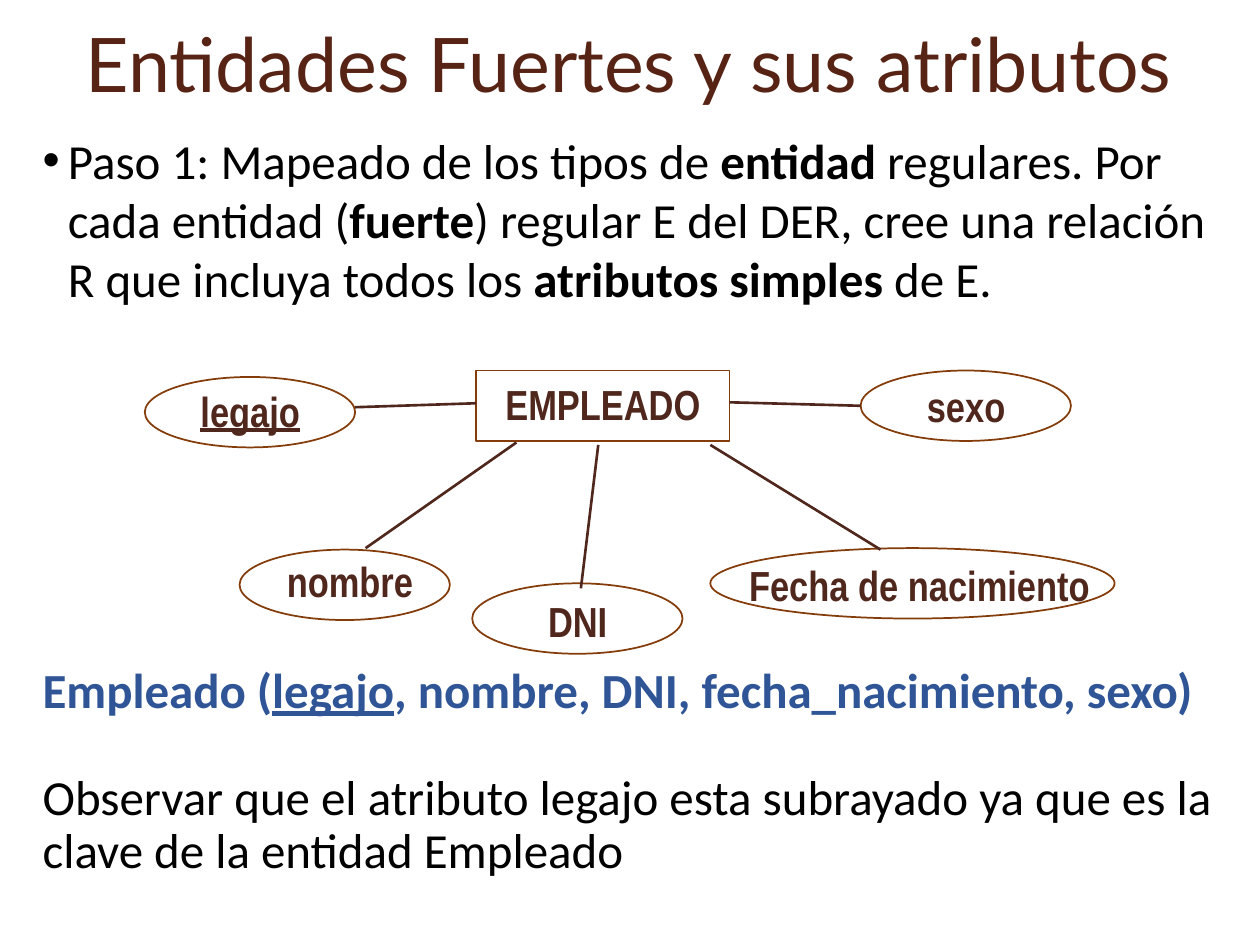
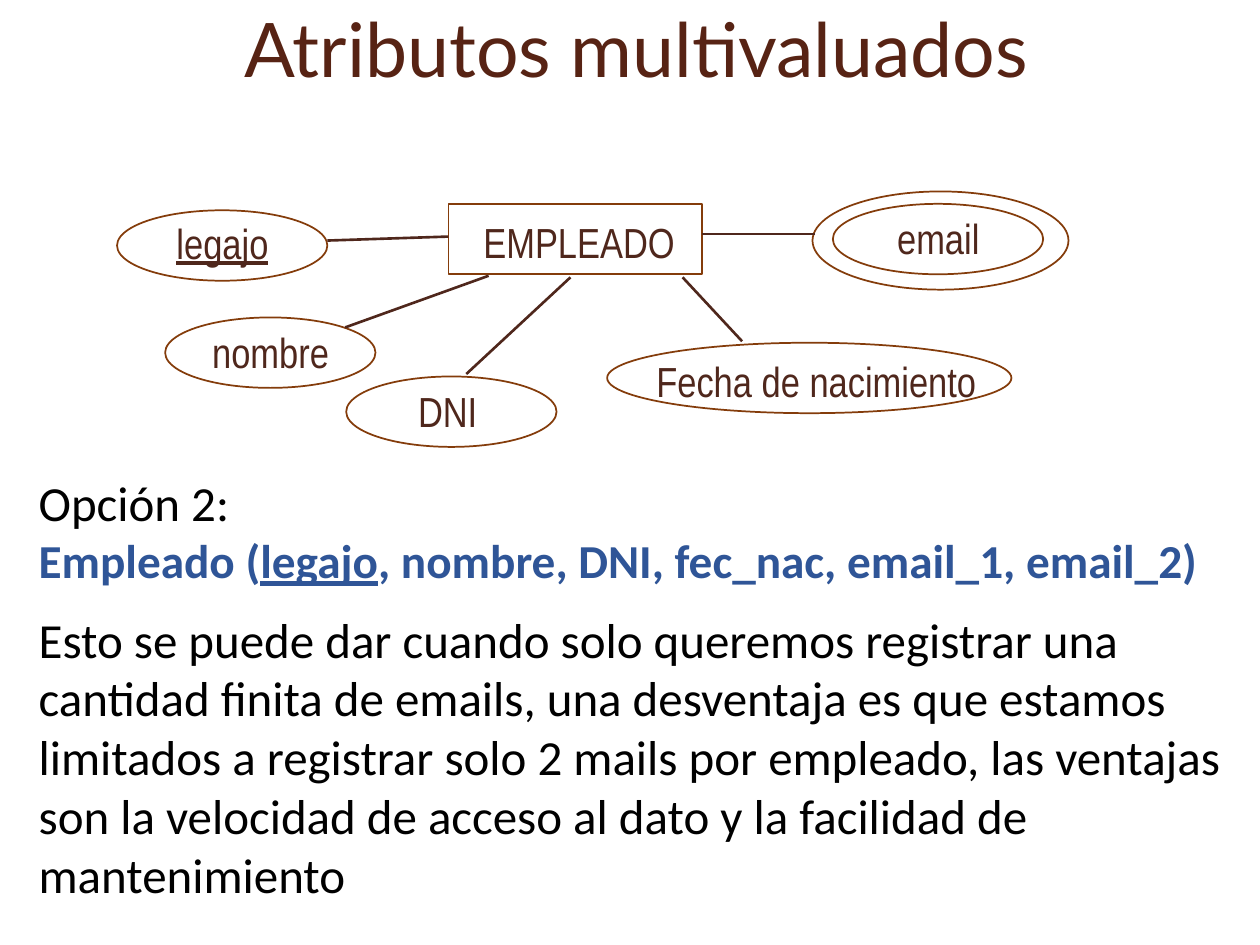
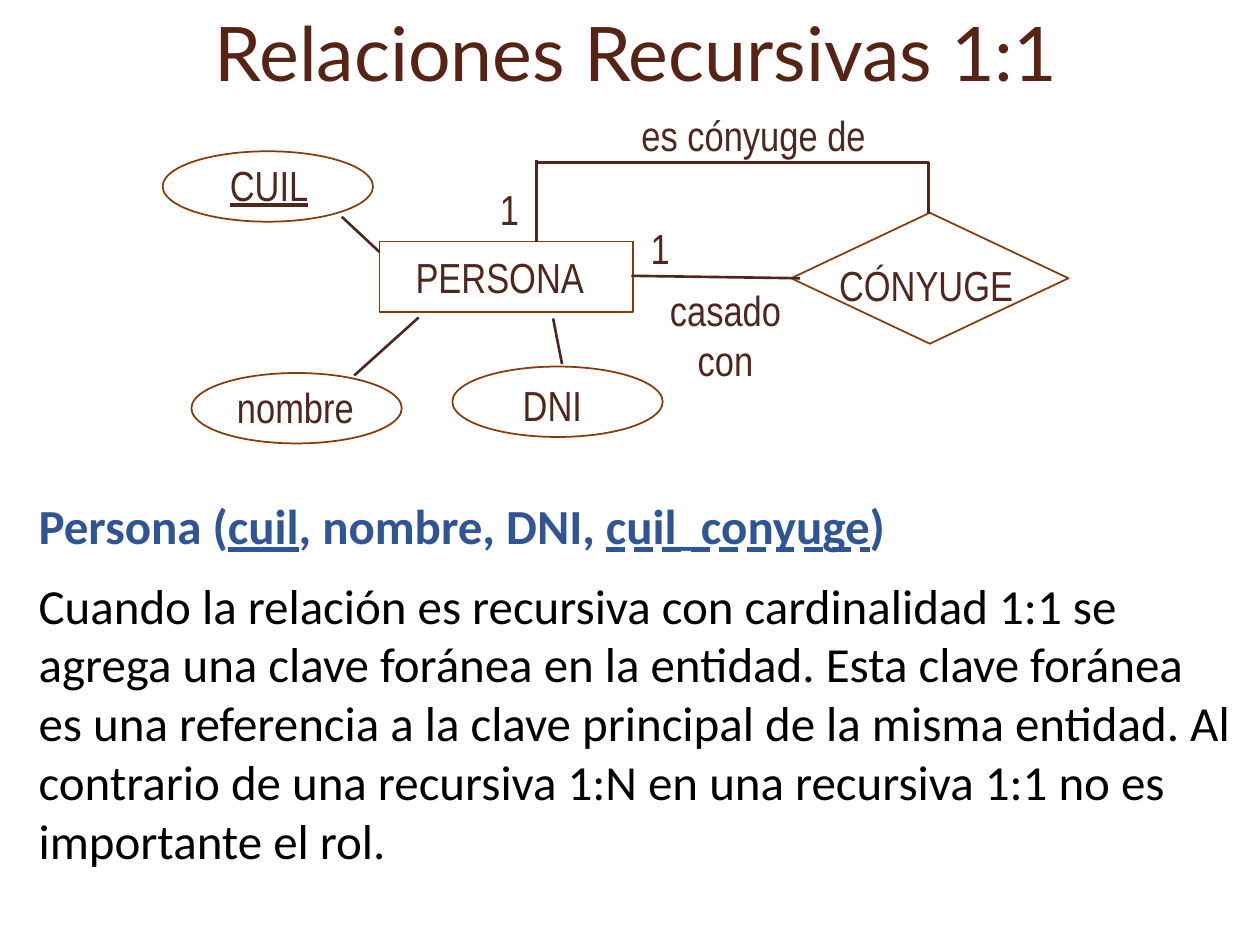
from pptx import Presentation
from pptx import util as u
from pptx.dml.color import RGBColor
from pptx.enum import shapes, text
from pptx.oxml import xmlchemy
from lxml import etree
from pptx.oxml import ns

COLORS = {"title": "572314", "body": "000000", "schema": "2F5597",
          "diagram": "4F271C", "outline": "843C0B"}
FONTS = {"title": "Lato", "body": "Calibri", "diagram": "Arial Narrow"}

# Sizes in centimetres
NODE_HEIGHT = 1.42
ATTRIBUTE_WIDTH, WIDE_WIDTH, ENTITY_WIDTH = 4.24, 8.15, 5.11
LABEL_HEIGHT = 1.3
ATTRIBUTE_LABEL, WIDE_LABEL = 3.53, 7.87

ELLIPSE = shapes.MSO_SHAPE.OVAL
RECTANGLE = shapes.MSO_SHAPE.RECTANGLE
DIAMOND = shapes.MSO_SHAPE.DIAMOND
DASHED = text.MSO_UNDERLINE.DASH_LINE


def rgb(name):
    return RGBColor.from_string(COLORS[name])


def add_run(paragraph, words, size, color="body", font="body", bold=False, underline=None):
    run = paragraph.add_run()
    run.text = words
    run.font.size = u.Pt(size)
    run.font.name = FONTS[font]
    run.font.bold = bold
    run.font.underline = underline
    run.font.color.rgb = rgb(color)


def add_frame(container, box, wrap=True):
    """Add a text box at (left, top, width, height) and return its text frame."""
    frame = container.add_textbox(*map(u.Cm, box)).text_frame
    frame.word_wrap = wrap
    return frame


def add_title(slide, box, words):
    frame = add_frame(slide.shapes, box)
    frame.vertical_anchor = text.MSO_ANCHOR.MIDDLE
    paragraph = frame.paragraphs[0]
    paragraph.alignment = text.PP_ALIGN.CENTER
    add_run(paragraph, words, 43, "title", "title")


def add_plain(paragraph, words):
    add_run(paragraph, words, 28)


def add_schema(paragraph, parts, size=28):
    """Write a relation schema from (words, underline) parts."""
    for words, underline in parts:
        add_run(paragraph, words, size, "schema", bold=True, underline=underline)


def add_step(slide, box, parts):
    """Write one bulleted paragraph from (words, bold) parts."""
    paragraph = add_frame(slide.shapes, box).paragraphs[0]
    properties = paragraph._p.get_or_add_pPr()
    indent = u.Cm(0.51)
    properties.set("marL", str(indent))
    properties.set("indent", str(-indent))
    etree.SubElement(properties, ns.qn("a:buFont"), typeface="Arial")
    etree.SubElement(properties, ns.qn("a:buChar"), char="•")
    for words, bold in parts:
        add_run(paragraph, words, 28, bold=bold)


class Diagram:
    """Entity-relationship drawing whose parts are placed from its top left corner."""

    def __init__(self, slide, left, top, bold=False):
        self.shapes = slide.shapes.add_group_shape().shapes
        self.left, self.top, self.bold = left, top, bold

    def outline(self, kind, x, y, width, height=NODE_HEIGHT):
        shape = self.shapes.add_shape(kind, *map(u.Cm, (self.left + x, self.top + y, width, height)))
        shape.shadow.inherit = False
        shape.fill.background()
        shape.line.color.rgb = rgb("outline")
        shape.line.width = u.Pt(1)

    def label(self, words, x, y, width, underline=None):
        box = self.left + x, self.top + y, width, LABEL_HEIGHT
        paragraph = add_frame(self.shapes, box, wrap=False).paragraphs[0]
        paragraph.alignment = text.PP_ALIGN.CENTER
        add_run(paragraph, words, 24, "diagram", "diagram", self.bold, underline)

    def attribute(self, words, x, y, shift, key=None, wide=False):
        self.outline(ELLIPSE, x, y, WIDE_WIDTH if wide else ATTRIBUTE_WIDTH)
        self.label(words, x + shift[0], y + shift[1], WIDE_LABEL if wide else ATTRIBUTE_LABEL, key)

    def entity(self, words, x, y, shift):
        self.outline(RECTANGLE, x, y, ENTITY_WIDTH)
        self.label(words, x + shift[0], y + shift[1], ENTITY_WIDTH)

    def links(self, *ends):
        for x1, y1, x2, y2 in ends:
            points = self.left + x1, self.top + y1, self.left + x2, self.top + y2
            connector = self.shapes.add_connector(shapes.MSO_CONNECTOR.STRAIGHT, *map(u.Cm, points))
            connector.line.color.rgb = rgb("diagram")
            connector.line.width = u.Pt(1.5)
            etree.SubElement(connector._element.spPr, ns.qn("a:effectLst"))


def draw_employee(slide, left, top):
    diagram = Diagram(slide, left, top, bold=True)
    diagram.entity("EMPLEADO", 6.68, 0, (0, 0.03))
    diagram.attribute("legajo", 0, 0.13, (0.36, 0.05), key=True)
    diagram.attribute("nombre", 1.91, 3.61, (0.46, 0))
    diagram.attribute("DNI", 6.6, 4.29, (0.36, 0.13))
    diagram.attribute("Fecha de nacimiento", 11.4, 3.58, (0.28, 0.1), wide=True)
    diagram.attribute("sexo", 14.43, 0, (0.36, 0.08))
    diagram.links((6.68, 0.66, 4.24, 0.74), (14.43, 0.71, 11.79, 0.64),
                  (11.4, 1.5, 14.83, 3.61), (7.49, 1.45, 4.45, 3.58),
                  (9.14, 1.5, 8.79, 4.39))


def draw_employee_emails(slide, left, top):
    diagram = Diagram(slide, left, top)
    diagram.entity("EMPLEADO", 6.68, 0.25, (0.08, 0.13))
    diagram.attribute("legajo", 0, 0.38, (0.36, 0.03), key=True)
    diagram.attribute("nombre", 0.97, 2.54, (0.36, 0.05))
    diagram.attribute("DNI", 4.62, 3.73, (0.28, 0.05))
    diagram.attribute("Fecha de nacimiento", 9.88, 3.05, (0.28, 0.13), wide=True)
    diagram.attribute("email", 14.43, 0.25, (0.36, 0.05))
    diagram.outline(ELLIPSE, 14.02, 0, 5.16, 1.98)
    diagram.links((6.68, 0.91, 4.24, 0.99), (14.07, 0.86, 11.79, 0.86),
                  (11.4, 1.73, 12.6, 3.02), (7.49, 1.7, 4.6, 2.74),
                  (9.14, 1.73, 7.04, 3.68))


def draw_spouses(slide, left, top):
    diagram = Diagram(slide, left, top)
    diagram.entity("PERSONA", 4.37, 2.79, (-0.13, 0.08))
    diagram.attribute("CUIL", 0, 0.97, (0.38, 0.05), key=True)
    diagram.attribute("nombre", 0.58, 5.44, (0.33, 0.05))
    diagram.attribute("DNI", 5.84, 5.31, (0.25, 0.13))
    diagram.outline(DIAMOND, 12.67, 2.21, 5.59, 2.64)
    diagram.label("CÓNYUGE", 13.36, 3.02, 4.06)
    diagram.label("es cónyuge de", 8.86, 0, 6.1)
    diagram.label("casado con", 9.4, 3.53, 3.89)
    for x, y in ((6.43, 1.5), (9.47, 2.29)):
        diagram.label("1", x, y, 1.12)
    diagram.links((4.37, 3, 3.61, 2.29), (12.85, 3.53, 9.45, 3.48),
                  (5.16, 4.32, 3.86, 5.49), (7.87, 4.34, 8.05, 5.26),
                  (7.54, 1.14, 7.54, 2.79), (15.44, 1.19, 7.54, 1.19),
                  (15.44, 1.19, 15.44, 2.21))


def build_strong_entities(slide):
    add_title(slide, (0.61, 0, 24.13, 2.51), "Entidades Fuertes y sus atributos")
    add_step(slide, (0.61, 2.51, 24.13, 4.32), [
        ("Paso 1: Mapeado de los tipos de ", False), ("entidad ", True),
        ("regulares. Por cada entidad (", False), ("fuerte", True),
        (") regular E del DER, cree una relación R que incluya todos los ", False),
        ("atributos simples", True), (" de E.", False)])
    draw_employee(slide, 2.92, 7.47)

    frame = add_frame(slide.shapes, (0.61, 13.31, 24.13, 4.67))
    schema, remark = frame.paragraphs[0], frame.add_paragraph()
    schema.line_spacing = remark.line_spacing = 0.9
    remark.space_before = u.Pt(30.8)
    add_schema(schema, [("Empleado (", None), ("legajo", True),
                        (", nombre, DNI, fecha_nacimiento, sexo)", None)])
    add_plain(remark, "Observar que el atributo legajo esta subrayado ya que es la "
                      "clave de la entidad Empleado")


def build_multivalued(slide):
    add_title(slide, (0.71, -0.28, 24.23, 2.46), "Atributos multivaluados")
    draw_employee_emails(slide, 2.36, 3.86)

    frame = add_frame(slide.shapes, (0.53, 9.4, 24.59, 9.35))
    option, schema, remark = frame.paragraphs[0], frame.add_paragraph(), frame.add_paragraph()
    remark.space_before = u.Pt(12)
    add_plain(option, "Opción 2:")
    add_schema(schema, [("Empleado (", None), ("legajo", True),
                        (", nombre, DNI, fec_nac, email_1, email_2)", None)], 27)
    add_plain(remark, "Esto se puede dar cuando solo queremos registrar una cantidad finita "
                      "de emails, una desventaja es que estamos limitados a registrar solo 2 "
                      "mails por empleado, las ventajas son la velocidad de acceso al dato y "
                      "la facilidad de mantenimiento")


def build_recursive(slide):
    add_title(slide, (0.71, -0.2, 24.23, 2.46), "Relaciones Recursivas 1:1")
    draw_spouses(slide, 3.28, 2.08)

    frame = add_frame(slide.shapes, (0.53, 9.86, 24.59, 8.92))
    schema, remark = frame.paragraphs[0], frame.add_paragraph()
    remark.space_before = u.Pt(12)
    add_schema(schema, [("Persona (", None), ("cuil", True), (", nombre, DNI, ", None),
                        ("cuil_conyuge", DASHED), (")", None)])
    add_plain(remark, "Cuando la relación es recursiva con cardinalidad 1:1 se agrega una clave "
                      "foránea en la entidad. Esta clave foránea es una referencia a la clave "
                      "principal de la misma entidad. Al contrario de una recursiva 1:N en una "
                      "recursiva 1:1 no es importante el rol.")


def main():
    presentation = Presentation()
    presentation.slide_width, presentation.slide_height = u.Cm(25.4), u.Cm(19.05)
    blank = presentation.slide_layouts[6]
    for build in (build_strong_entities, build_multivalued, build_recursive):
        build(presentation.slides.add_slide(blank))
    presentation.save("out.pptx")


if __name__ == "__main__":
    main()
